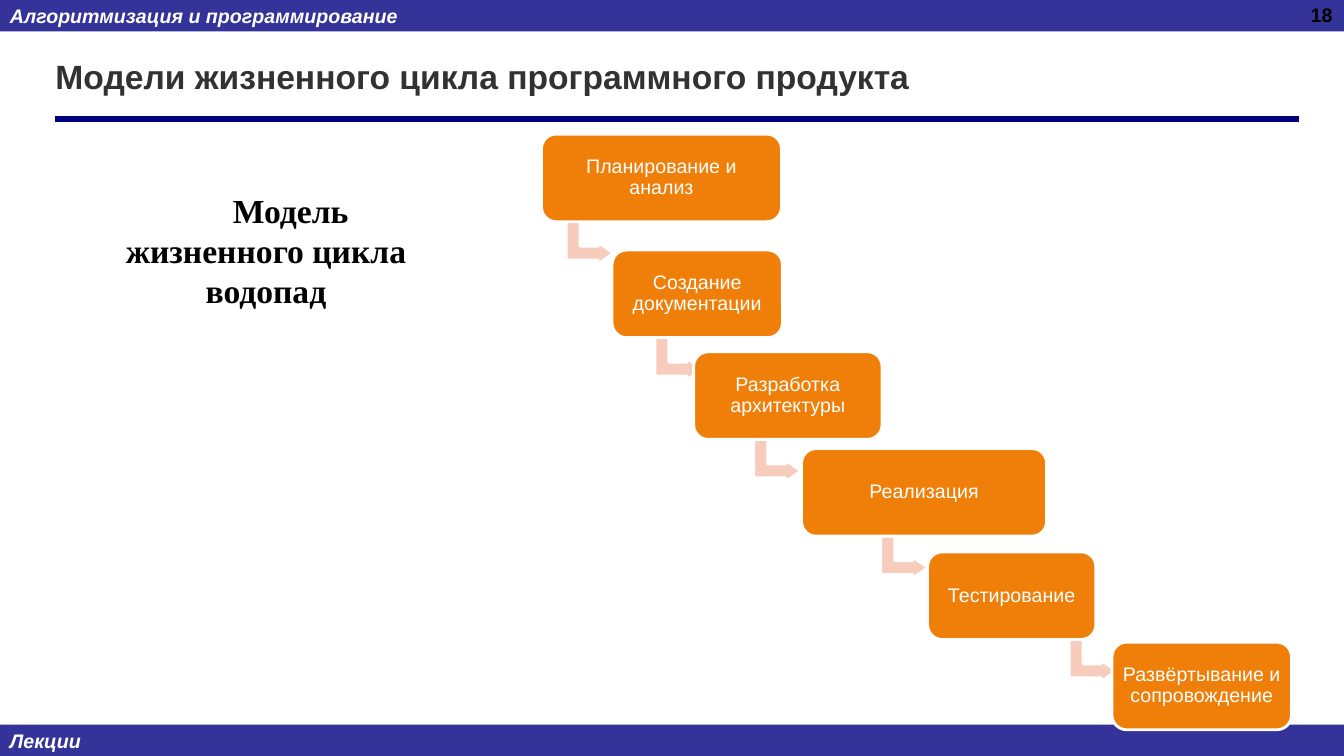
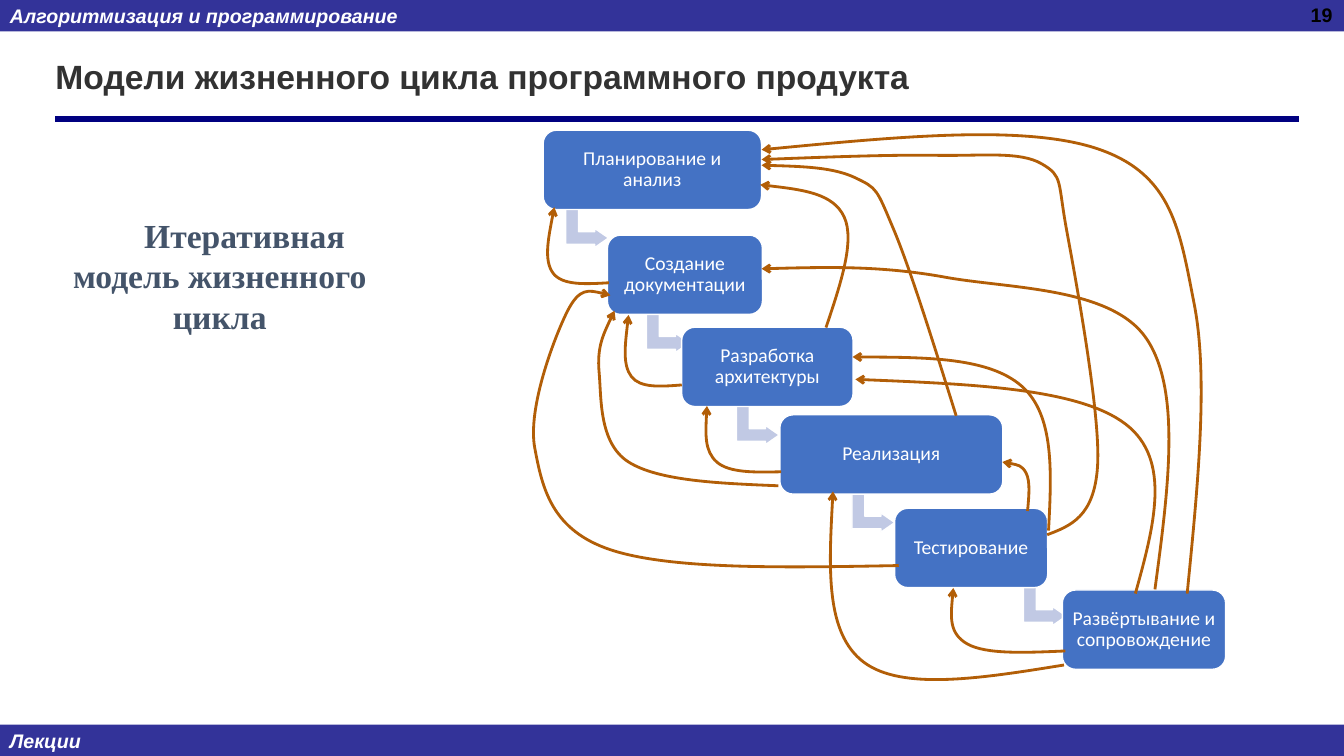
"""Build two lecture slides about software life cycle models."""
from dataclasses import dataclass
from typing import NamedTuple

from lxml import etree
from pptx import Presentation
from pptx.dml.color import RGBColor
from pptx.enum.shapes import MSO_CONNECTOR, MSO_SHAPE
from pptx.enum.text import MSO_ANCHOR, MSO_AUTO_SIZE, PP_ALIGN
from pptx.oxml.ns import qn
from pptx.shapes.autoshape import Shape
from pptx.slide import Slide, SlideLayout
from pptx.text.text import TextFrame
from pptx.util import Pt

RECTANGLE = MSO_SHAPE.RECTANGLE
ROUNDED = MSO_SHAPE.ROUNDED_RECTANGLE
BENT_ARROW = MSO_SHAPE.BENT_UP_ARROW
STRAIGHT = MSO_CONNECTOR.STRAIGHT
TOP, MIDDLE = MSO_ANCHOR.TOP, MSO_ANCHOR.MIDDLE
LEFT, CENTER, RIGHT = PP_ALIGN.LEFT, PP_ALIGN.CENTER, PP_ALIGN.RIGHT
NO_AUTOFIT = MSO_AUTO_SIZE.NONE


@dataclass(frozen=True)
class Theme:
    """Colours, fonts and type sizes of the lecture."""
    band: RGBColor = RGBColor.from_string("333399")
    rule: RGBColor = RGBColor.from_string("000080")
    title: RGBColor = RGBColor.from_string("323232")
    white: RGBColor = RGBColor.from_string("FFFFFF")
    black: RGBColor = RGBColor.from_string("000000")
    slate: RGBColor = RGBColor.from_string("44546A")
    orange: RGBColor = RGBColor.from_string("F07F09")
    peach: RGBColor = RGBColor.from_string("F8CCBD")
    blue: RGBColor = RGBColor.from_string("4472C4")
    pale_blue: RGBColor = RGBColor.from_string("C1C9E4")
    feedback: RGBColor = RGBColor.from_string("B25E07")
    sans: str = "Arial"
    step_sans: str = "Calibri"
    serif: str = "Times New Roman"
    heading_size: float = 24
    text_size: float = 14


class Box(NamedTuple):
    """Position and size in points."""
    left: float
    top: float
    width: float
    height: float


class Point(NamedTuple):
    """A place on the slide in points."""
    x: float
    y: float


class Step(NamedTuple):
    """One waterfall step, measured from the first step at full scale."""
    text: str
    left: float
    top: float
    width: float
    arrow_left: float | None


class Waterfall(NamedTuple):
    """Placement and look of one waterfall diagram."""
    left: float
    top: float
    scale_x: float
    scale_y: float
    fill: RGBColor
    arrow_fill: RGBColor
    outline: float
    font: str


class Lecture(NamedTuple):
    """Content of one slide."""
    number: int
    caption: str
    caption_left: float
    caption_top: float
    caption_color: RGBColor
    waterfall: Waterfall
    feedback: list[list[tuple[float, float]]]


THEME = Theme()
WIDTH, HEIGHT, BAND_HEIGHT = 960, 540, 22.4
TITLE = "Модели жизненного цикла программного продукта"
TITLE_BOX = Box(32.4, 24, 879, 61)
NUMBER_BOX = Box(735, -1.4, 224, 37)
CAPTION_WIDTH, CAPTION_HEIGHT = 246, 87
BANDS = [("Алгоритмизация и программирование", 0), ("Лекции", HEIGHT - BAND_HEIGHT)]
STEP_HEIGHT, ARROW_DROP, ARROW_WIDTH, ARROW_HEIGHT = 62.6, 60.6, 30.2, 33.8
STEPS = [
    Step("Планирование и анализ", 0, 0, 171.4, 19.4),
    Step("Создание документации", 50.4, 82.8, 121.7, 82.8),
    Step("Разработка архитектуры", 108.7, 155.5, 134.6, 153.4),
    Step("Реализация", 185.8, 224.6, 175, 244.1),
    Step("Тестирование", 275.8, 298.4, 120.2, 378.7),
    Step("Развёртывание и сопровождение", 407.5, 362.9, 128.2, None),
]
FEEDBACK = [
    [(825, 421), (819, 242), (675, 198), (544, 192)],
    [(435, 202), (395, 195), (396, 148)],
    [(487, 275), (451, 269), (449, 225)],
    [(590, 234), (603, 155), (543, 132)],
    [(558, 337), (512, 330), (505, 290)],
    [(556, 347), (449, 330), (428, 266), (439, 222)],
    [(683, 297), (638, 163), (611, 127), (544, 118)],
    [(734, 365), (733, 338), (716, 330)],
    [(749, 379), (730, 276), (609, 255)],
    [(748, 382), (784, 333), (762, 165), (744, 117), (669, 111), (544, 114)],
    [(761, 465), (691, 460), (681, 420)],
    [(760, 475), (617, 473), (595, 351)],
    [(811, 424), (804, 303), (611, 271)],
    [(848, 424), (853, 217), (786, 107), (544, 107)],
    [(642, 404), (437, 393), (382, 320), (405, 223), (436, 211)],
]
LECTURES = [
    Lecture(18, "Модель жизненного цикла водопад", 67, 135.4, THEME.black,
            Waterfall(386.8, 95.8, 1, 1, THEME.orange, THEME.peach, 2, THEME.sans), []),
    Lecture(19, "Итеративная модель жизненного цикла", 34, 153.4, THEME.slate,
            Waterfall(388, 93, 0.91, 0.905, THEME.blue, THEME.pale_blue, 1, THEME.step_sans),
            FEEDBACK),
]


def write(frame: TextFrame, text: str, font: str, size: float, color: RGBColor,
          align: PP_ALIGN = LEFT, anchor: MSO_ANCHOR = MIDDLE,
          bold: bool = True, italic: bool = False) -> None:
    """Fill a text frame with one formatted paragraph."""
    frame.word_wrap = True
    frame.auto_size = NO_AUTOFIT
    frame.vertical_anchor = anchor
    paragraph = frame.paragraphs[0]
    paragraph.text = text
    paragraph.alignment = align
    paragraph.font.name = font
    paragraph.font.size = Pt(size)
    paragraph.font.bold = bold
    paragraph.font.italic = italic
    paragraph.font.color.rgb = color


def set_margins(frame: TextFrame, margin: float) -> None:
    """Give all four sides of a text frame the same margin."""
    frame.margin_left = frame.margin_right = Pt(margin)
    frame.margin_top = frame.margin_bottom = Pt(margin)


def add_block(slide: Slide, kind: MSO_SHAPE, box: Box, fill: RGBColor,
              outline: float = 0) -> Shape:
    """Add a flat filled shape with an optional white outline."""
    shape = slide.shapes.add_shape(kind, *(Pt(length) for length in box))
    shape.shadow.inherit = False
    shape.fill.solid()
    shape.fill.fore_color.rgb = fill
    if outline:
        shape.line.color.rgb = THEME.white
        shape.line.width = Pt(outline)
    else:
        shape.line.fill.background()
    return shape


def prepare_layout(slide: Slide, layout: SlideLayout) -> None:
    """Draw the bands and the title rule and move them to the layout."""
    for placeholder in list(layout.placeholders)[1:]:
        layout.shapes.element.remove(placeholder.element)
    for text, top in BANDS:
        band = add_block(slide, RECTANGLE, Box(0, top, WIDTH, BAND_HEIGHT), THEME.band)
        write(band.text_frame, text, THEME.sans, THEME.text_size, THEME.white, italic=True)
        layout.shapes.element.append(band.element)
    rule = slide.shapes.add_connector(STRAIGHT, Pt(39.6), Pt(85), Pt(928), Pt(85))
    rule.line.color.rgb = THEME.rule
    rule.line.width = Pt(4.5)
    etree.SubElement(rule.element.spPr, qn("a:effectLst"))
    layout.shapes.element.append(rule.element)


def add_heading(slide: Slide, number: int) -> None:
    """Place the title and the slide number."""
    title = slide.shapes.title
    title.left, title.top, title.width, title.height = (Pt(length) for length in TITLE_BOX)
    write(title.text_frame, TITLE, THEME.sans, THEME.heading_size, THEME.title)
    number_box = slide.shapes.add_textbox(*(Pt(length) for length in NUMBER_BOX))
    write(number_box.text_frame, str(number), THEME.sans, THEME.text_size, THEME.black,
          RIGHT, TOP)


def add_caption(slide: Slide, lecture: Lecture) -> None:
    """Add the model name with an indented first line."""
    box = Box(lecture.caption_left, lecture.caption_top, CAPTION_WIDTH, CAPTION_HEIGHT)
    frame = add_block(slide, RECTANGLE, box, THEME.white).text_frame
    set_margins(frame, 0)
    write(frame, lecture.caption, THEME.serif, THEME.heading_size, lecture.caption_color,
          CENTER, TOP)
    paragraph = frame.paragraphs[0]
    paragraph.space_after = Pt(10)
    paragraph._p.get_or_add_pPr().set("indent", str(Pt(35.3)))


def add_waterfall(slide: Slide, waterfall: Waterfall) -> None:
    """Draw the steps with a bent arrow from each one to the next."""

    def place(left: float, top: float, width: float, height: float) -> Box:
        """Scale a box and move it to the diagram origin."""
        return Box(waterfall.left + left * waterfall.scale_x,
                   waterfall.top + top * waterfall.scale_y,
                   width * waterfall.scale_x, height * waterfall.scale_y)

    for step in STEPS:
        if step.arrow_left is not None:
            arrow_box = place(step.arrow_left, step.top + ARROW_DROP, ARROW_WIDTH, ARROW_HEIGHT)
            arrow = add_block(slide, BENT_ARROW, arrow_box, waterfall.arrow_fill,
                              waterfall.outline)
            arrow.rotation = 90
            for index, value in enumerate((0.33, 0.25, 0.36)):
                arrow.adjustments[index] = value
        block = add_block(slide, ROUNDED, place(step.left, step.top, step.width, STEP_HEIGHT),
                          waterfall.fill, waterfall.outline)
        set_margins(block.text_frame, 4.3)
        write(block.text_frame, step.text, waterfall.font, THEME.text_size, THEME.white,
              CENTER, bold=False)
        block.text_frame.paragraphs[0].line_spacing = 0.9


def smooth(knots: list[Point]) -> list[Point]:
    """Return Bezier triples of a smooth curve through the knots."""
    entries, exits = [], []
    for before, knot, after in zip(knots, knots[1:], knots[2:]):
        step_x, step_y = (after.x - before.x) / 6, (after.y - before.y) / 6
        entries.append(Point(knot.x - step_x, knot.y - step_y))
        exits.append(Point(knot.x + step_x, knot.y + step_y))
    first, last = knots[0], knots[-1]
    exits.insert(0, Point((first.x + entries[0].x) / 2, (first.y + entries[0].y) / 2))
    entries.append(Point((last.x + exits[-1].x) / 2, (last.y + exits[-1].y) / 2))
    return [point for triple in zip(exits, entries, knots[1:]) for point in triple]


def add_feedback(slide: Slide, knots: list[Point]) -> None:
    """Draw a curved arrow through the knots."""
    builder = slide.shapes.build_freeform(Pt(knots[0].x), Pt(knots[0].y))
    builder.add_line_segments([(Pt(x), Pt(y)) for x, y in smooth(knots)], close=False)
    curve = builder.convert_to_shape()
    curve.shadow.inherit = False
    curve.fill.background()
    curve.line.color.rgb = THEME.feedback
    curve.line.width = Pt(2)
    etree.SubElement(curve.element.spPr.find(qn("a:ln")), qn("a:tailEnd"), type="arrow")
    outline = curve.element.find(".//" + qn("a:path"))
    segments = outline.findall(qn("a:lnTo"))
    for first in range(0, len(segments), 3):
        bezier = etree.SubElement(outline, qn("a:cubicBezTo"))
        for segment in segments[first:first + 3]:
            bezier.append(segment[0])
            outline.remove(segment)


def main() -> None:
    """Build and save the presentation."""
    presentation = Presentation()
    presentation.slide_width, presentation.slide_height = Pt(WIDTH), Pt(HEIGHT)
    layout = presentation.slide_layouts[5]
    slides = [presentation.slides.add_slide(layout) for _ in LECTURES]
    prepare_layout(slides[0], layout)
    for slide, lecture in zip(slides, LECTURES):
        add_heading(slide, lecture.number)
        add_waterfall(slide, lecture.waterfall)
        add_caption(slide, lecture)
        for knots in lecture.feedback:
            add_feedback(slide, [Point(*knot) for knot in knots])
    presentation.save("out.pptx")


if __name__ == "__main__":
    main()
